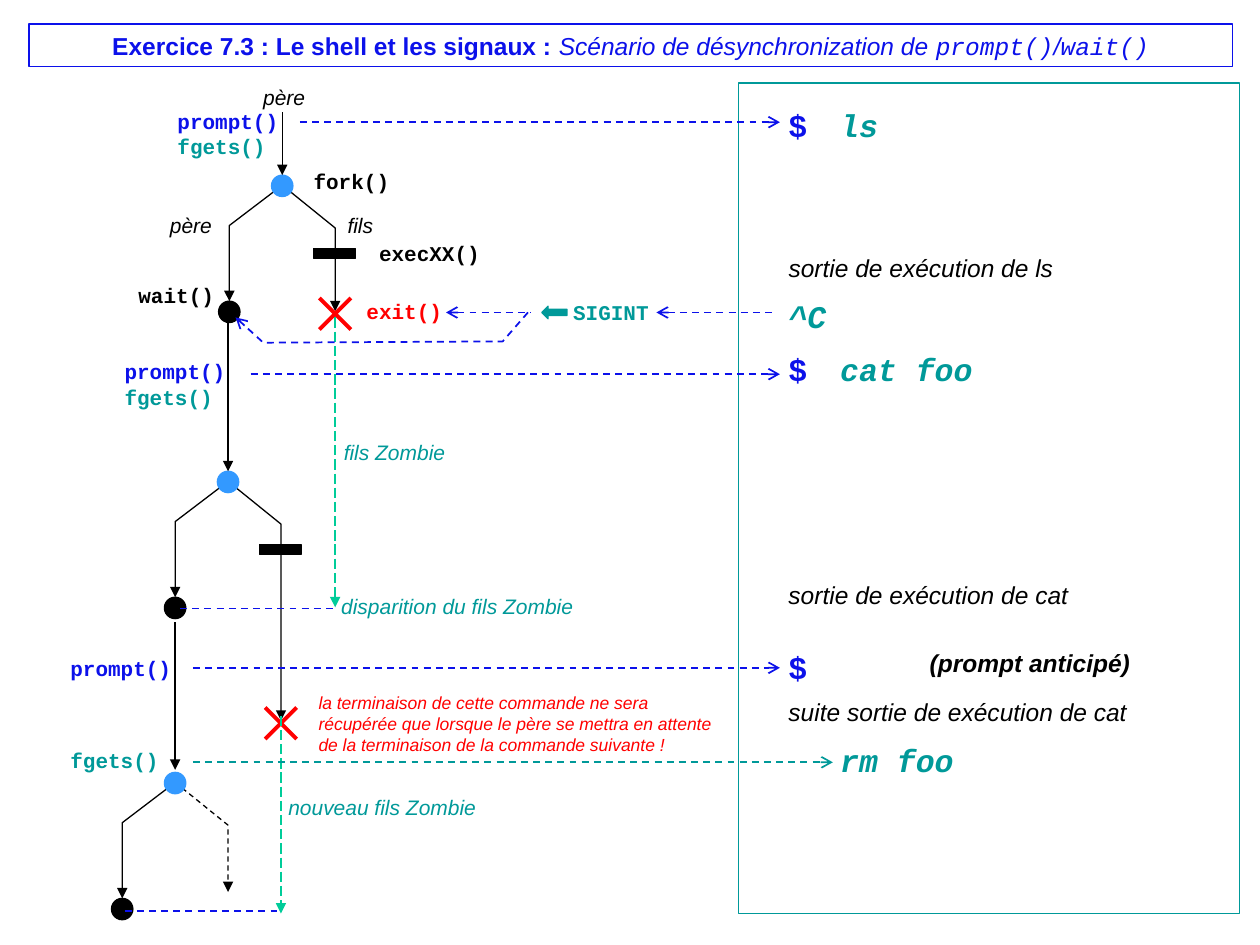
from lxml.etree import SubElement
from pptx import Presentation
from pptx.dml.color import RGBColor
from pptx.enum.dml import MSO_LINE
from pptx.enum.shapes import MSO_CONNECTOR, MSO_SHAPE
from pptx.enum.text import MSO_AUTO_SIZE, PP_ALIGN
from pptx.oxml.ns import qn
from pptx.util import Inches, Pt

BLACK, BLUE, TEAL, RED = "000000", "0C11EA", "009999", "FF0000"
SKY, GREEN = "3399FF", "00CC99"
SANS, MONO = "Arial", "Courier New"
NODE = 0.17     # diameter of a process node
SPREAD = 0.42   # sideways distance from a fork to each branch


def rgb(value):
    return RGBColor.from_string(value)


def style_line(line, color, width=0.75, dash=None, head=None, tail=None):
    line.color.rgb = rgb(color)
    line.width = Pt(width)
    if dash:
        line.dash_style = dash
    for tag, kind in (("a:headEnd", head), ("a:tailEnd", tail)):
        if kind:
            SubElement(line._get_or_add_ln(), qn(tag)).set("type", kind)


def add_line(slide, start, end, color, **style):
    connector = slide.shapes.add_connector(
        MSO_CONNECTOR.STRAIGHT, *(Inches(v) for v in (*start, *end)))
    style_line(connector.line, color, **style)
    SubElement(connector._element.spPr, qn("a:effectLst"))


def add_path(slide, points, color, **style):
    start, *rest = [(Inches(x), Inches(y)) for x, y in points]
    builder = slide.shapes.build_freeform(*start)
    builder.add_line_segments(rest, close=False)
    path = builder.convert_to_shape()
    path.shadow.inherit = False
    path.fill.background()
    style_line(path.line, color, **style)


def add_box(slide, kind, left, top, width, height, color, filled=True):
    box = slide.shapes.add_shape(
        kind, Inches(left), Inches(top), Inches(width), Inches(height))
    box.shadow.inherit = False
    if filled:
        box.fill.solid()
        box.fill.fore_color.rgb = rgb(color)
    else:
        box.fill.background()
    style_line(box.line, color)
    return box


def set_font(run, name, size, color, bold=False, italic=False):
    run.font.name, run.font.size = name, Pt(size)
    run.font.bold, run.font.italic = bold, italic
    run.font.color.rgb = rgb(color)


def add_text(slide, left, top, width, lines, font, size, bold, italic,
             rows=1, wrap=False):
    """lines holds one (text, color) pair for each paragraph."""
    height = rows * size / 60 + 0.1
    box = slide.shapes.add_textbox(
        Inches(left), Inches(top), Inches(width), Inches(height))
    frame = box.text_frame
    frame.word_wrap = wrap
    frame.auto_size = MSO_AUTO_SIZE.SHAPE_TO_FIT_TEXT
    frame.text = "\n".join(text for text, _ in lines)
    for paragraph, (_, color) in zip(frame.paragraphs, lines):
        set_font(paragraph.runs[0], font, size, color, bold, italic)


def add_code(slide, left, top, *lines, size=12, italic=False):
    # Monospaced: the width follows from the longest line, with a little slack
    width = max(len(text) for text, _ in lines) * size / 120 + 0.22
    add_text(slide, left, top, width, lines, MONO, size, True, italic, len(lines))


def add_note(slide, left, top, width, text, color=BLACK, size=12, bold=False,
             **layout):
    add_text(slide, left, top, width, [(text, color)], SANS, size, bold, True, **layout)


def add_node(slide, center, top, color):
    add_box(slide, MSO_SHAPE.OVAL, center - NODE / 2, top, NODE, NODE, color)


def title_bar(slide, left, top, width, height):
    bar = add_box(slide, MSO_SHAPE.RECTANGLE, left, top, width, height, BLUE, False)
    bar.text_frame.word_wrap = True
    paragraph = bar.text_frame.paragraphs[0]
    paragraph.alignment = PP_ALIGN.CENTER
    parts = [("Exercice 7.3 : Le shell et les signaux : ", SANS),
             ("Scénario de désynchronization de ", SANS),
             ("prompt()", MONO), ("/", SANS), ("wait()", MONO)]
    for index, (text, font) in enumerate(parts):
        run = paragraph.add_run()
        run.text = text
        set_font(run, font, 14, BLUE, bold=index == 0, italic=index > 0)


def fork_tree(slide, center, top, child_length, runs_command=True):
    """Fork node, waiting parent on the left and child on the right."""
    parent, child = center - SPREAD, center + SPREAD
    start, child_end = (center, top + 0.08), top + child_length
    add_path(slide, [start, (child, top + 0.42), (child, child_end)], BLACK,
             dash=None if runs_command else MSO_LINE.DASH, tail="triangle")
    add_path(slide, [start, (parent, top + 0.4), (parent, top + 1)], BLACK,
             tail="triangle")
    add_node(slide, center, top, SKY)
    add_node(slide, parent, top + 1, BLACK)
    if runs_command:
        # exec bar, then the cross where the child ends
        add_box(slide, MSO_SHAPE.RECTANGLE, child - 0.17, top + 0.58, 0.33, 0.08, BLACK)
        x, y, arm = child, child_end + 0.02, 0.125
        for slope in (arm, -arm):
            add_line(slide, (x - arm, y - slope), (x + arm, y + slope), RED, width=2.25)


def zombie(slide, x, top, bottom, wait_x, collected):
    """Life of a zombie child, down to the wait that collects it."""
    add_line(slide, (x, top), (x, bottom), GREEN, dash=MSO_LINE.LONG_DASH,
             tail="triangle")
    add_line(slide, (wait_x, collected), (x, collected), BLUE, width=1,
             dash=MSO_LINE.DASH)


def process_tree(slide, left, top):
    def at(x, y):
        return left + x, top + y

    # Forks, each one column further left
    fork_tree(slide, *at(1.78, 0.77), 1.08)
    fork_tree(slide, *at(1.35, 3.12), 1.98)
    fork_tree(slide, *at(0.93, 5.51), 0.95, runs_command=False)

    # Parent's time line between forks
    for x, start, end in ((1.78, 0.27, 0.77), (1.35, 1.94, 3.12), (0.93, 4.32, 5.49)):
        add_line(slide, at(x, start), at(x, end), BLACK, tail="triangle")

    zombie(slide, left + 2.2, top + 1.9, top + 4.2, left + 0.97, top + 4.21)
    zombie(slide, left + 1.77, top + 5.06, top + 6.63, left + 0.53, top + 6.61)

    # System calls
    prompt, fgets = ("prompt()", BLUE), ("fgets()", TEAL)
    for x, y, *lines in (
            (0.85, 0.19, prompt, fgets), (0.43, 2.18, prompt, fgets),
            (0, 4.53, prompt), (0, 5.26, fgets),
            (1.93, 0.67, ("fork()", BLACK)), (2.45, 1.24, ("execXX()", BLACK)),
            (0.54, 1.57, ("wait()", BLACK)), (2.35, 1.7, ("exit()", RED))):
        add_code(slide, *at(x, y), *lines)

    # Process names and remarks
    for x, y, width, text, color in (
            (1.53, 0, 0.58, "père", BLACK), (0.79, 1.02, 0.58, "père", BLACK),
            (2.2, 1.02, 0.45, "fils", BLACK), (2.17, 2.82, 1.05, "fils Zombie", TEAL),
            (2.15, 4.04, 2.17, "disparition du fils Zombie", TEAL),
            (1.73, 5.64, 1.74, "nouveau fils Zombie", TEAL)):
        add_note(slide, *at(x, y), width, text, color)
    add_note(slide, *at(1.97, 4.82), 3.4,
             "la terminaison de cette commande ne sera récupérée que lorsque le père "
             "se mettra en attente de la terminaison de la commande suivante !",
             RED, size=10, rows=3, wrap=True)


def terminal(slide, left, top, width, height):
    add_box(slide, MSO_SHAPE.RECTANGLE, left, top, width, height, TEAL, False)
    output_x, command_x = left + 0.3, left + 0.71
    for y in (0.13, 2.07, 4.43):
        add_code(slide, output_x, top + y, ("$", BLUE), size=18)
    for x, y, text in ((command_x, 0.13, "ls"), (output_x, 1.65, "^C"),
                       (command_x, 2.07, "cat foo"), (command_x, 5.17, "rm foo")):
        add_code(slide, x, top + y, (text, TEAL), size=18, italic=True)
    for y, text_width, text in ((1.3, 2.35, "sortie de exécution de ls"),
                                (3.89, 2.47, "sortie de exécution de cat"),
                                (4.82, 2.94, "suite sortie de exécution de cat")):
        add_note(slide, output_x, top + y, text_width, text, size=14)
    add_note(slide, left + 1.42, top + 4.43, 1.84, "(prompt anticipé)", size=14, bold=True)


def exchanges(slide, prompt_x, signal_y):
    """Dashed arrows between the processes and the terminal."""
    dashed = dict(width=1, dash=MSO_LINE.DASH)
    for x, y in ((2.38, 0.97), (1.99, 2.97), (1.53, 5.3)):
        add_line(slide, (x, y), (prompt_x, y), BLUE, tail="arrow", **dashed)
    add_line(slide, (1.53, 6.05), (prompt_x + 0.42, 6.05), TEAL, tail="arrow", **dashed)

    # SIGINT reaches both the child and the waiting parent
    for start, end in ((3.54, 4.21), (5.21, 6.15)):
        add_line(slide, (start, signal_y), (end, signal_y), BLUE, head="arrow", **dashed)
    add_path(slide, [(4.19, signal_y), (3.99, signal_y + 0.23),
                     (2.09, signal_y + 0.24), (1.87, signal_y + 0.04)],
             BLUE, tail="arrow", **dashed)
    add_code(slide, 4.45, signal_y - 0.15, ("SIGINT", TEAL))
    add_box(slide, MSO_SHAPE.LEFT_ARROW, 4.3, signal_y - 0.05, 0.2, 0.1, TEAL)


def main():
    deck = Presentation()
    deck.slide_width, deck.slide_height = Inches(10), Inches(7.5)
    slide = deck.slides.add_slide(deck.slide_layouts[6])
    process_tree(slide, 0.46, 0.62)
    title_bar(slide, 0.23, 0.19, 9.55, 0.34)
    terminal(slide, 5.86, 0.66, 3.98, 6.59)
    exchanges(slide, 6.19, 2.48)
    deck.save("out.pptx")


if __name__ == "__main__":
    main()
